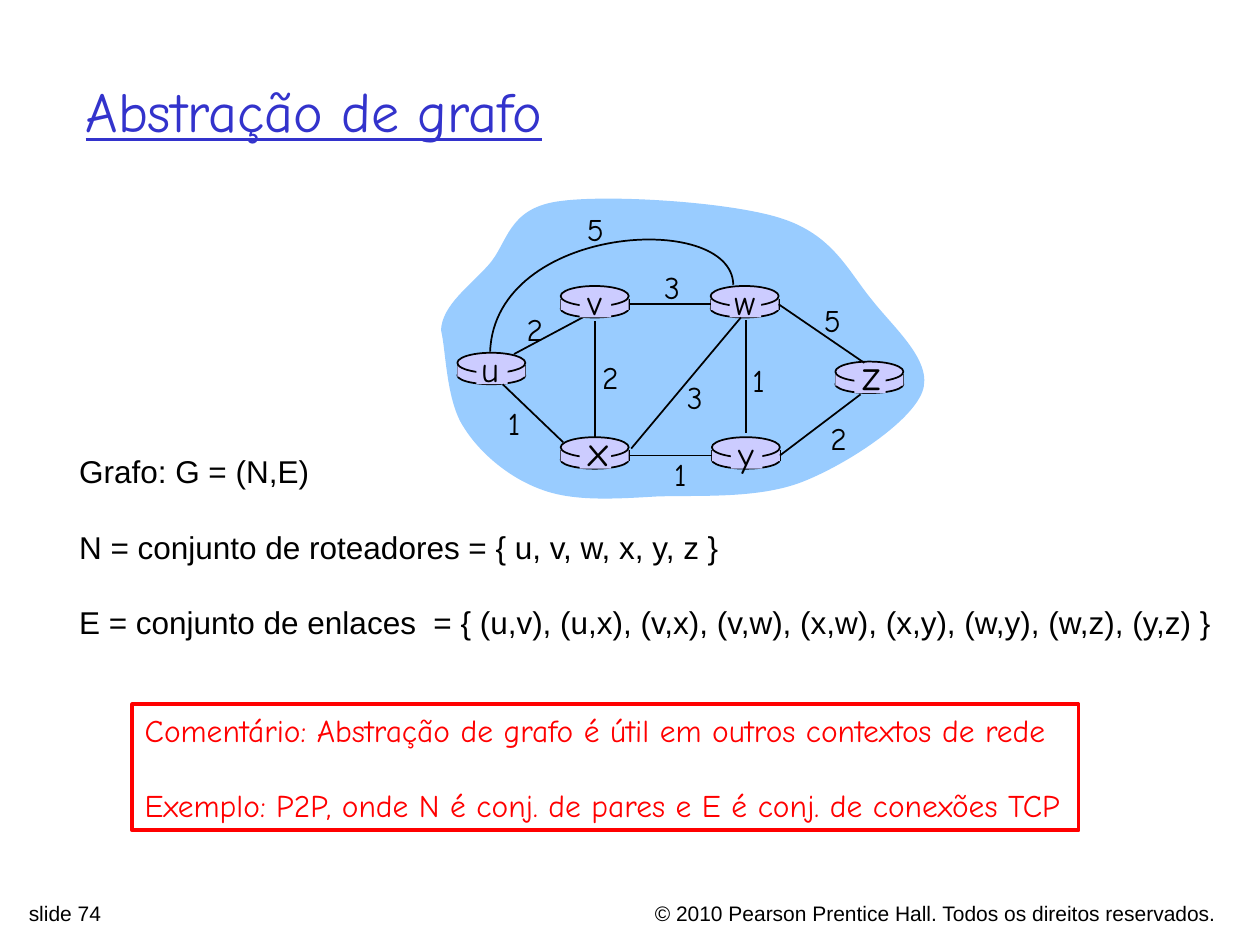
from lxml.etree import SubElement
from pptx import Presentation
from pptx.dml.color import RGBColor as Rgb
from pptx.enum.shapes import MSO_CONNECTOR as Con, MSO_SHAPE as Geo
from pptx.enum.text import MSO_ANCHOR as Anchor, PP_ALIGN as Align
from pptx.oxml.ns import qn
from pptx.util import Pt

PX = 9144
HUE = {"ink": "000000", "sky": "99CCFF", "hub": "CCCCFF", "title": "3333CC", "note": "FF0000"}
HUE = {name: Rgb.from_string(code) for name, code in HUE.items()}
HAND, SANS = "Comic Neue", "Arial"

deck = Presentation()
deck.slide_width, deck.slide_height = 1000 * PX, 750 * PX
slide = deck.slides.add_slide(deck.slide_layouts[5])
shapes = slide.shapes


def write(text, box, shape=None, size=18, font=HAND, hue="ink", align=Align.LEFT,
          wrap=False, anchor=Anchor.TOP, under=None, gap=0):
    area = [n * PX for n in box]
    shape = shape or shapes.add_textbox(*area)
    shape.left, shape.top, shape.width, shape.height = area
    frame = shape.text_frame
    frame.word_wrap = wrap
    frame.vertical_anchor = anchor
    frame.text = text
    for i, para in enumerate(frame.paragraphs):
        para.alignment = align
        if i:
            para.space_before = Pt(gap)
        para.font.size, para.font.name = Pt(size), font
        para.font.color.rgb = HUE[hue]
        para.font.underline = under


def link(*ends):
    line = shapes.add_connector(Con.STRAIGHT, *[n * PX for n in ends])
    line.line.color.rgb = HUE["ink"]
    line.line.width = Pt(1)
    SubElement(line._element.spPr, qn("a:effectLst"))
    return line


write("Abstração de grafo", (58, 25, 850, 125), shapes.title, size=32,
      hue="title", wrap=True, anchor=Anchor.MIDDLE, under=True)

cloud = [
    (350, 262), (351, 242), (373, 227), (388, 210), (403, 193), (403, 166), (442, 160),
    (480, 154), (578, 160), (619, 173), (661, 186), (673, 215), (692, 238),
    (710, 261), (741, 287), (732, 311), (723, 335), (673, 368), (638, 382),
    (603, 396), (557, 393), (522, 394), (488, 396), (456, 398), (431, 389),
    (405, 380), (381, 360), (368, 339), (354, 318), (354, 278), (350, 262),
]
arc = [(582, 226), (581, 167), (393, 178), (389, 279)]
for knots, closed in (cloud, True), (arc, False):
    pen = shapes.build_freeform(*knots[0], scale=PX)
    pen.add_line_segments(knots[1:], close=closed)
    curve = pen.convert_to_shape()
    curve.shadow.inherit = False
    trace = next(curve._element.iter(qn("a:path")))
    legs = trace.findall(qn("a:lnTo"))
    for k in range(0, len(legs), 3):
        bend = SubElement(trace, qn("a:cubicBezTo"))
        legs[k].addprevious(bend)
        for leg in legs[k:k + 3]:
            bend.append(leg[0])
            trace.remove(leg)
    if closed:
        curve.fill.solid()
        curve.fill.fore_color.rgb = HUE["sky"]
        curve.line.fill.background()
    else:
        curve.fill.background()
        curve.line.color.rgb = HUE["ink"]
        curve.line.width = Pt(1)

link(408, 281, 468, 249)

nodes = {
    "u": (363, 291, 389, 20), "x": (445, 358, 475, 24), "v": (445, 238, 472, 20),
    "w": (564, 238, 591, 20), "y": (565, 358, 592, 20), "z": (663, 298, 692, 24),
}
parts = [
    (Geo.OVAL, 0, 0, 54, 14), (Geo.RECTANGLE, 0, -1, 54, 9),
    (Geo.OVAL, 0, -11, 54, 16), (Geo.RECTANGLE, 15, -9, 25, 23),
]
hubs = {}
for name, (x, y, mid, size) in nodes.items():
    for side in x, x + 54:
        link(side, y - 1, side, y + 8)
    for geo, dx, dy, w, h in parts:
        part = shapes.add_shape(geo, (x + dx) * PX, (y + dy) * PX, w * PX, h * PX)
        part.shadow.inherit = False
        part.fill.solid()
        part.fill.fore_color.rgb = HUE["hub"]
        if geo == Geo.OVAL:
            part.line.color.rgb = HUE["ink"]
            part.line.width = Pt(1)
        else:
            part.line.fill.background()
            hubs.setdefault(name, part)
    drop, high = (26, 50) if size == 24 else (20, 44)
    write(name, (mid - 18, y - drop, 36, high), size=size, align=Align.CENTER)

for ends in [(592, 254, 592, 344), (472, 255, 472, 348), (501, 356, 588, 252), (447, 351, 399, 305)]:
    link(*ends)

joined = [
    ("v", "w", (501, 242, 564, 242)), ("x", "y", (502, 362, 565, 362)),
    ("w", None, (618, 241, 686, 288)), ("y", None, (620, 360, 683, 313)),
]
for head, tail, ends in joined:
    line = link(*ends)
    line.begin_connect(hubs[head], 3)
    if tail:
        line.end_connect(hubs[tail], 1)

costs = [
    ("2", 408, 241), ("2", 468, 279), ("1", 393, 316), ("3", 535, 295), ("1", 525, 356),
    ("1", 587, 282), ("2", 649, 328), ("5", 644, 234), ("3", 517, 208), ("5", 456, 162),
]
for cost, x, y in costs:
    wide = 30 if cost == "1" else 33
    write(cost, (x, y, wide, 40), align=Align.CENTER)

sets = [
    "Grafo: G = (N,E)",
    "N = conjunto de roteadores = { u, v, w, x, y, z }",
    "E = conjunto de enlaces  = { (u,v), (u,x), (v,x), (v,w), (x,w), (x,y), (w,y), (w,z), (y,z) }",
]
write("\n".join(sets), (53, 354, 927, 160), font=SANS, gap=21.6)

box = (105, 559, 751, 100)
note = shapes.add_shape(Geo.RECTANGLE, *[n * PX for n in box])
note.shadow.inherit = False
note.fill.background()
note.line.color.rgb = HUE["note"]
note.line.width = Pt(2.25)
notes = [
    "Comentário: Abstração de grafo é útil em outros contextos de rede",
    "Exemplo: P2P, onde N é conj. de pares e E é conj. de conexões TCP",
]
write("\n".join(notes), box, note, hue="note", gap=21.6)

write("slide 74", (13, 710, 352, 24), size=12, font=SANS, wrap=True)
write("© 2010 Pearson Prentice Hall. Todos os direitos reservados.", (464, 710, 511, 24),
      size=12, font=SANS, align=Align.RIGHT, wrap=True)

deck.save("out.pptx")
